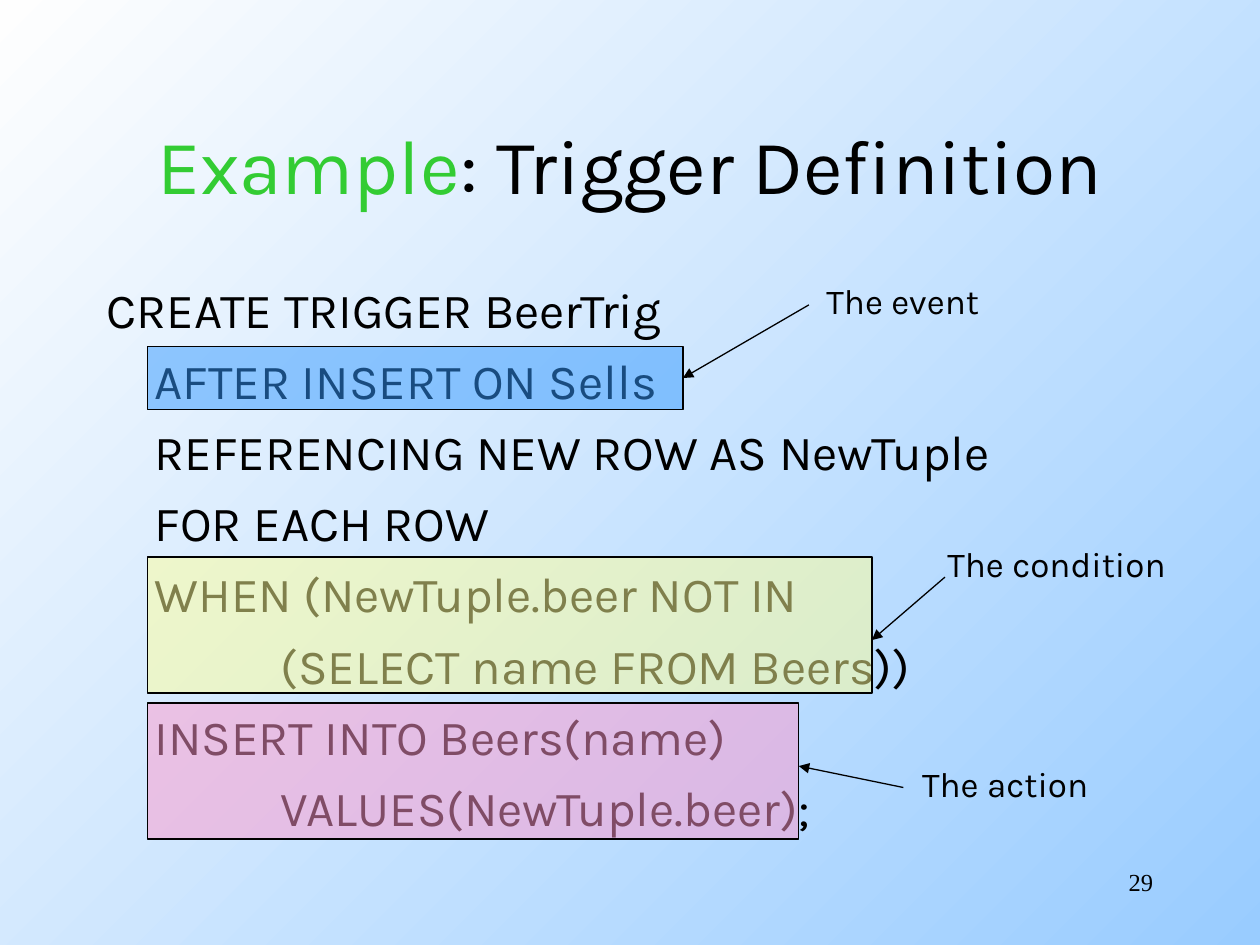
from pptx import Presentation
from pptx.dml.color import RGBColor
from pptx.enum.shapes import MSO_CONNECTOR, MSO_SHAPE
from pptx.enum.text import MSO_ANCHOR, PP_ALIGN
from pptx.oxml.ns import qn
from pptx.util import Inches, Pt
from lxml.etree import SubElement

COLORS = {
    "ink": "000000", "green": "33CC33", "sky": "99CCFF", "white": "FEFEFE",
    "event": "3399FF", "condition": "FFFF99", "action": "FF99CC",
}
FONT = "Karla"
TITLE = [("Example", "green"), (": Trigger Definition", "ink")]

# Code lines: indent level, text
CODE = [
    (0, "CREATE TRIGGER BeerTrig"),
    (1, "AFTER INSERT ON Sells"),
    (1, "REFERENCING NEW ROW AS NewTuple"),
    (1, "FOR EACH ROW"),
    (1, "WHEN (NewTuple.beer NOT IN"),
    (2, "(SELECT name FROM Beers))"),
    (1, "INSERT INTO Beers(name)"),
    (2, "VALUES(NewTuple.beer);"),
]
INDENT = [0, 0.38, 1.38]

# Callouts: colour, box, label, label place, arrow start, arrow end height
LEFT = 1.17
NOTES = [
    ("event", (2.75, 4.25, 0.5), "The event",
     (6.46, 2.17, 1.48, 0.44), (6.42, 2.42), 3),
    ("condition", (4.42, 5.75, 1.08), "The condition",
     (7.42, 4.26, 1.98, 0.44), (7.5, 4.58), 5.08),
    ("action", (5.58, 5.17, 1.08), "The action",
     (7.22, 6, 1.56, 0.44), (7.17, 6.25), 6.08),
]


def rgb(name):
    return RGBColor.from_string(COLORS[name])


def style(run, size, color="ink", font=FONT):
    run.font.size = Pt(size)
    run.font.name = font
    run.font.color.rgb = rgb(color)


def add_text(shapes, place, text="", size=20, font=FONT, wrap=True):
    box = shapes.add_textbox(*map(Inches, place))
    frame = box.text_frame
    frame.word_wrap = wrap
    if text:
        frame.text = text
        style(frame.paragraphs[0].runs[0], size, font=font)
    return frame


def add_box(shapes, place, color):
    box = shapes.add_shape(MSO_SHAPE.RECTANGLE, *map(Inches, place))
    box.shadow.inherit = False
    box.fill.solid()
    box.fill.fore_color.rgb = rgb(color)
    tint = box.fill._xPr.find(qn("a:solidFill"))[0]
    SubElement(tint, qn("a:alpha")).set("val", "50000")
    box.line.color.rgb = rgb("ink")
    box.line.width = Pt(0.75)
    return box


def add_arrow(shapes, start, end):
    arrow = shapes.add_connector(
        MSO_CONNECTOR.STRAIGHT, *map(Inches, start + end))
    arrow.line.color.rgb = rgb("ink")
    arrow.line.width = Pt(0.75)
    SubElement(arrow.line._get_or_add_ln(), qn("a:tailEnd")).set("type", "triangle")
    SubElement(arrow._element.spPr, qn("a:effectLst"))
    return arrow


deck = Presentation()
deck.slide_width, deck.slide_height = Inches(10), Inches(7.5)
slide = deck.slides.add_slide(deck.slide_layouts[6])

# Background
fill = slide.background.fill
fill.gradient()
fill.gradient_angle = 135
for stop, color, pos in zip(fill.gradient_stops, ("sky", "white"), (0, 1)):
    stop.color.rgb = rgb(color)
    stop.position = pos

# Title
frame = add_text(slide.shapes, (0.75, 0.67, 8.5, 1.25))
frame.vertical_anchor = MSO_ANCHOR.MIDDLE
para = frame.paragraphs[0]
para.alignment = PP_ALIGN.CENTER
for text, color in TITLE:
    run = para.add_run()
    run.text = text
    style(run, 44, color)

# Code
frame = add_text(slide.shapes, (0.75, 2.17, 8.5, 4.5))
for i, (level, text) in enumerate(CODE):
    para = frame.add_paragraph() if i else frame.paragraphs[0]
    para.text = text
    para.space_before = Pt(7)
    para._p.get_or_add_pPr().set("marL", str(Inches(INDENT[level])))
    style(para.runs[0], 28)

# Callouts
for color, (top, width, height), label, place, start, end in NOTES:
    shapes = slide.shapes.add_group_shape().shapes
    box = add_box(shapes, (LEFT, top, width, height), color)
    add_text(shapes, place, label, wrap=False)
    arrow = add_arrow(shapes, start, (LEFT + width, end))
    if end == top + height / 2:
        arrow.end_connect(box, 3)

# Slide number
frame = add_text(slide.shapes, (7.17, 6.83, 2.08, 0.5), "29", 14, "Times New Roman")
frame.paragraphs[0].alignment = PP_ALIGN.RIGHT

deck.save("out.pptx")
